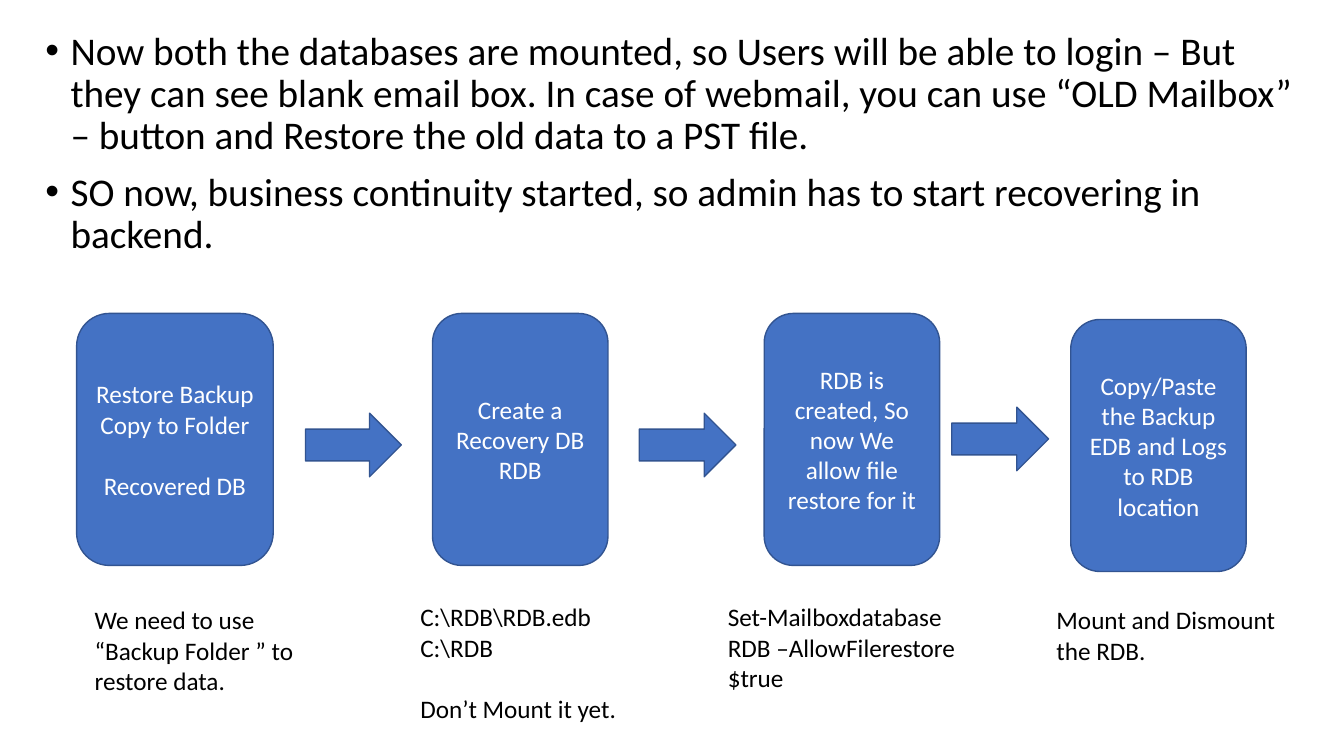
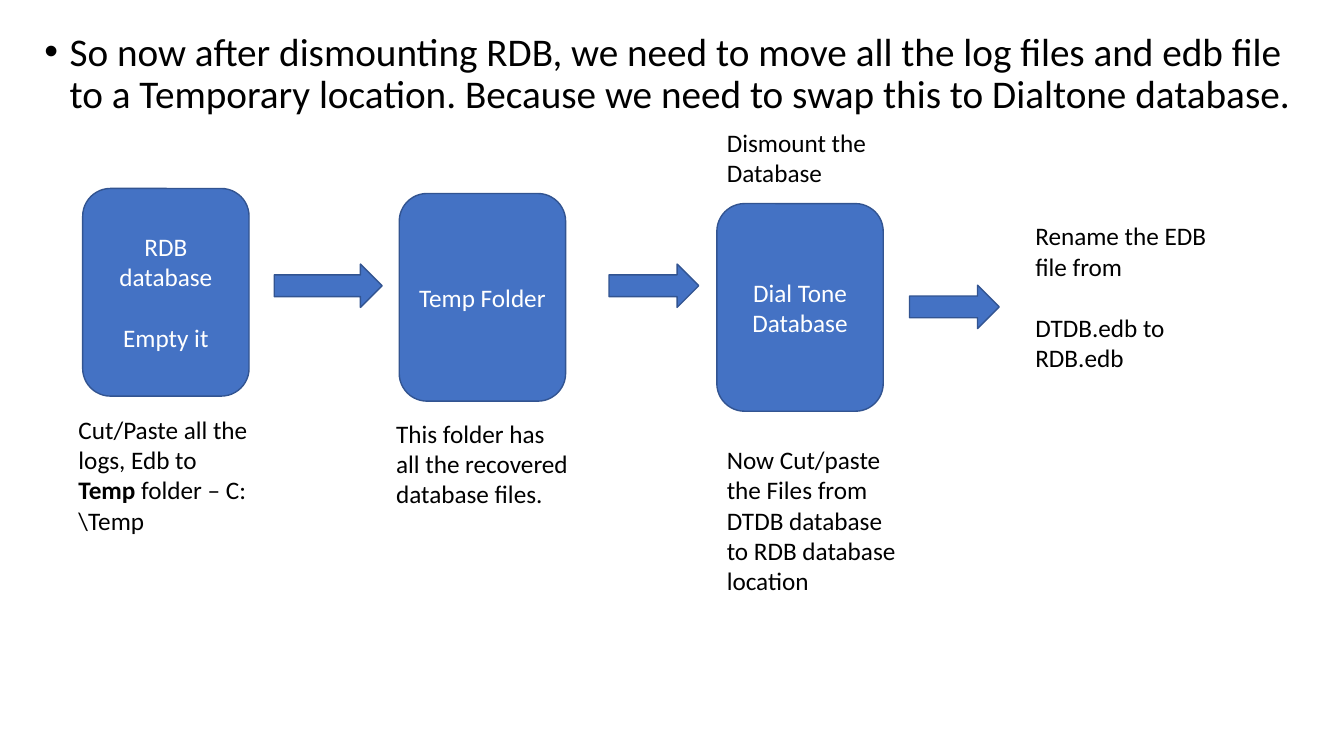
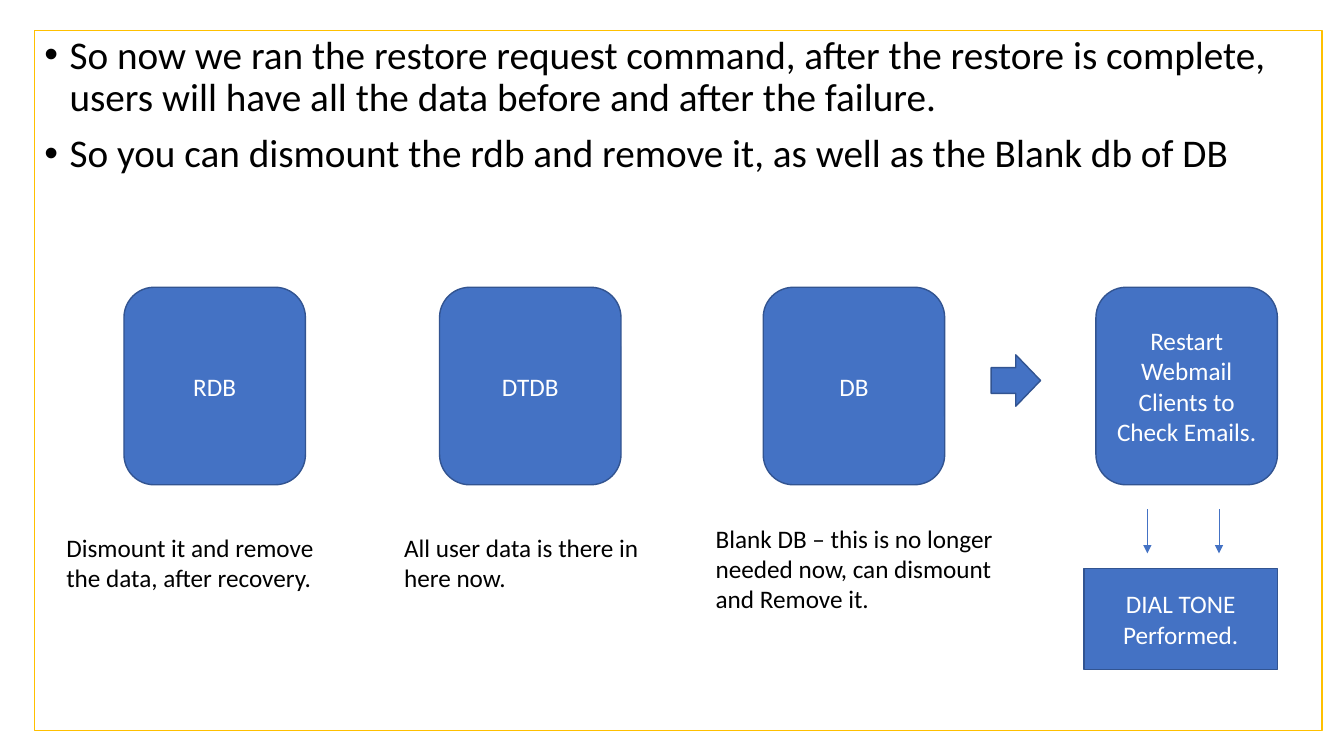
from dataclasses import dataclass
from typing import Any, Optional

from lxml.etree import SubElement
from pptx import Presentation
from pptx.dml.color import RGBColor
from pptx.enum.shapes import MSO_CONNECTOR, MSO_SHAPE
from pptx.enum.text import MSO_ANCHOR, MSO_AUTO_SIZE, PP_ALIGN
from pptx.oxml.ns import qn
from pptx.util import Inches, Pt


# Shared look
@dataclass(frozen=True)
class Theme:
    font: str = "Calibri"
    body: int = 28
    small: int = 18
    gap: int = 22
    ink: str = "000000"
    pale: str = "FFFFFF"
    blue: str = "4472C4"
    edge: str = "325491"
    gold: str = "FFC000"


LOOK = Theme()


# Elements of a slide; sizes and places are in inches
@dataclass(frozen=True)
class Area:
    left: float
    top: float
    width: float
    height: float

    def lengths(self) -> list:
        return [Inches(v) for v in (self.left, self.top, self.width, self.height)]


@dataclass(frozen=True)
class Block:
    area: Area
    lines: tuple = ()
    kind: MSO_SHAPE = MSO_SHAPE.ROUNDED_RECTANGLE
    gap: Optional[int] = None  # index of the line with a gap above it


@dataclass(frozen=True)
class Note:
    area: Area
    lines: tuple  # *stars* mark bold words
    gap: Optional[int] = None


@dataclass(frozen=True)
class Link:
    left: float
    top: float
    foot: float


@dataclass(frozen=True)
class Page:
    area: Area
    points: tuple
    items: list
    frame: bool = False


# Formatting
def apply(target: Any, values: dict) -> None:
    for name, value in values.items():
        setattr(target, name, value)


def paint(shape: Any, fill: str, edge: str) -> None:
    shape.fill.solid()
    shape.fill.fore_color.rgb = RGBColor.from_string(fill)
    shape.line.color.rgb = RGBColor.from_string(edge)
    shape.line.width = Pt(1)


def write(frame: Any, lines: tuple, size: int, ink: str, style: dict,
          gap: Optional[int] = None) -> None:
    for i, line in enumerate(lines):
        para = frame.paragraphs[0] if i == 0 else frame.add_paragraph()
        apply(para, style)
        if i == gap:
            para.space_before = Pt(LOOK.gap)
        for j, piece in enumerate(line.split("*")):
            run = para.add_run()
            run.text = piece
            apply(run.font, {"name": LOOK.font, "size": Pt(size), "bold": j % 2 == 1})
            run.font.color.rgb = RGBColor.from_string(ink)


# Drawing
def draw_block(slide: Any, block: Block) -> None:
    shape = slide.shapes.add_shape(block.kind, *block.area.lengths())
    shape.shadow.inherit = False
    paint(shape, LOOK.blue, LOOK.edge)
    apply(shape.text_frame, {"word_wrap": True, "vertical_anchor": MSO_ANCHOR.MIDDLE})
    write(shape.text_frame, block.lines, LOOK.small, LOOK.pale,
          {"alignment": PP_ALIGN.CENTER}, block.gap)


def draw_note(slide: Any, note: Note) -> None:
    frame = slide.shapes.add_textbox(*note.area.lengths()).text_frame
    apply(frame, {"word_wrap": True, "auto_size": MSO_AUTO_SIZE.SHAPE_TO_FIT_TEXT})
    write(frame, note.lines, LOOK.small, LOOK.ink, {"alignment": PP_ALIGN.LEFT}, note.gap)


def draw_link(slide: Any, link: Link) -> None:
    x = Inches(link.left)
    wire = slide.shapes.add_connector(
        MSO_CONNECTOR.STRAIGHT, x, Inches(link.top), x, Inches(link.foot))
    wire.line.color.rgb = RGBColor.from_string(LOOK.blue)
    wire.line.width = Pt(0.5)
    props = wire._element.spPr
    SubElement(props.find(qn("a:ln")), qn("a:tailEnd"), type="triangle")
    SubElement(props, qn("a:effectLst"))


def draw_points(slide: Any, page: Page) -> None:
    head = slide.shapes.title
    head._element.getparent().remove(head._element)
    body = slide.placeholders[1]
    apply(body, dict(zip(("left", "top", "width", "height"), page.area.lengths())))
    if page.frame:
        paint(body, LOOK.pale, LOOK.gold)
    apply(body.text_frame, {"word_wrap": True, "auto_size": MSO_AUTO_SIZE.NONE,
                            "vertical_anchor": MSO_ANCHOR.TOP})
    write(body.text_frame, page.points, LOOK.body, LOOK.ink,
          {"line_spacing": 0.9, "space_before": Pt(10), "alignment": PP_ALIGN.LEFT})
    for para in body.text_frame.paragraphs:
        props = para._p.get_or_add_pPr()
        props.set("marL", str(Inches(0.25)))
        props.set("indent", str(-Inches(0.25)))
        SubElement(props, qn("a:buFont"), typeface="Arial")
        SubElement(props, qn("a:buChar"), char="•")


DRAW = {Block: draw_block, Note: draw_note, Link: draw_link}


def arrow(left: float, top: float, width: float, height: float) -> Block:
    return Block(Area(left, top, width, height), kind=MSO_SHAPE.RIGHT_ARROW)


# Slide 1: recovery steps
STEPS = Page(
    Area(0.35, 0.26, 12.73, 7.03),
    ("Now both the databases are mounted, so Users will be able to login – But they can "
     "see blank email box. In case of webmail, you can use “OLD Mailbox” – button and "
     "Restore the old data to a PST file.",
     "SO now, business continuity started, so admin has to start recovering in backend."),
    [
        Block(Area(0.76, 3.11, 1.95, 2.5),
              ("Restore Backup Copy to Folder", "Recovered DB"), gap=1),
        Block(Area(4.29, 3.11, 1.74, 2.5), ("Create a Recovery DB", "RDB")),
        Block(Area(7.58, 3.11, 1.74, 2.5),
              ("RDB is created, So now We allow file restore for it",)),
        Block(Area(10.62, 3.17, 1.74, 2.5),
              ("Copy/Paste the Backup EDB and Logs to RDB location",)),
        arrow(3.03, 4.1, 0.95, 0.63),
        arrow(6.34, 4.1, 0.96, 0.63),
        arrow(9.44, 4.04, 0.96, 0.63),
        Note(Area(0.84, 5.95, 2.18, 1.01),
             ("We need to use “Backup Folder ” to restore data.",)),
        Note(Area(4.07, 5.92, 2.18, 1.31),
             ("C:\\RDB\\RDB.edb", "C:\\RDB", "Don’t Mount it yet."), gap=2),
        Note(Area(7.12, 5.92, 2.6, 1.01),
             ("Set-Mailboxdatabase RDB –AllowFilerestore $true",)),
        Note(Area(10.38, 5.95, 2.6, 0.71), ("Mount and Dismount the RDB.",)),
    ],
)

# Slide 2: swap of the files
SWAP = Page(
    Area(0.34, 0.27, 12.66, 6.89),
    ("So now after dismounting RDB, we need to move all the log files and edb file to a "
     "Temporary location. Because we need to swap this to Dialtone database.",),
    [
        Block(Area(0.82, 1.87, 1.65, 2.06), ("RDB database", "Empty it"), gap=1),
        Block(Area(3.96, 1.92, 1.65, 2.06), ("Temp Folder",)),
        Block(Area(7.11, 2.02, 1.65, 2.06), ("Dial Tone Database",)),
        arrow(2.72, 2.62, 1.07, 0.43),
        arrow(6.04, 2.62, 0.89, 0.43),
        arrow(9.02, 2.83, 0.89, 0.43),
        Note(Area(0.68, 4.06, 1.91, 1.31),
             ("Cut/Paste all the logs, Edb to *Temp* folder – C:\\Temp",)),
        Note(Area(3.83, 4.1, 1.91, 1.01),
             ("This folder has all the recovered database files.",)),
        Note(Area(7.11, 1.21, 1.91, 0.71), ("Dismount the Database",)),
        Note(Area(7.11, 4.36, 1.91, 1.62),
             ("Now Cut/paste the Files from DTDB database to RDB database location",)),
        Note(Area(10.17, 2.14, 1.91, 1.62),
             ("Rename the EDB file from", "DTDB.edb to RDB.edb"), gap=1),
    ],
)

# Slide 3: clean up and restart
STORES = ((1.23, "RDB"), (4.36, "DTDB"), (7.57, "DB"),
          (10.87, "Restart Webmail Clients to Check Emails."))
CLEAN = Page(
    Area(0.34, 0.3, 12.77, 6.95),
    ("So now we ran the restore request command, after the restore is complete, users "
     "will have all the data before and after the failure.",
     "So you can dismount the rdb and remove it, as well as the Blank db of DB"),
    [
        *(Block(Area(left, 2.85, 1.8, 1.96), (text,)) for left, text in STORES),
        Note(Area(0.56, 5.23, 3.04, 0.71),
             ("Dismount it and remove the data, after recovery.",)),
        Note(Area(3.91, 5.23, 3.04, 0.71), ("All user data is there in here now.",)),
        Note(Area(7, 5.14, 3.04, 1.01),
             ("Blank DB – this is no longer needed now, can dismount and Remove it.",)),
        arrow(9.83, 3.52, 0.49, 0.51),
        Block(Area(10.75, 5.64, 1.92, 1), ("DIAL TONE Performed.",), MSO_SHAPE.RECTANGLE),
        *(Link(left, 5.05, 5.49) for left in (11.38, 12.09)),
    ],
    frame=True,
)

# Build the deck
deck = Presentation()
apply(deck, {"slide_width": Inches(13.33), "slide_height": Inches(7.5)})
for page in (STEPS, SWAP, CLEAN):
    slide = deck.slides.add_slide(deck.slide_layouts[1])
    draw_points(slide, page)
    for item in page.items:
        DRAW[type(item)](slide, item)
deck.save("out.pptx")
